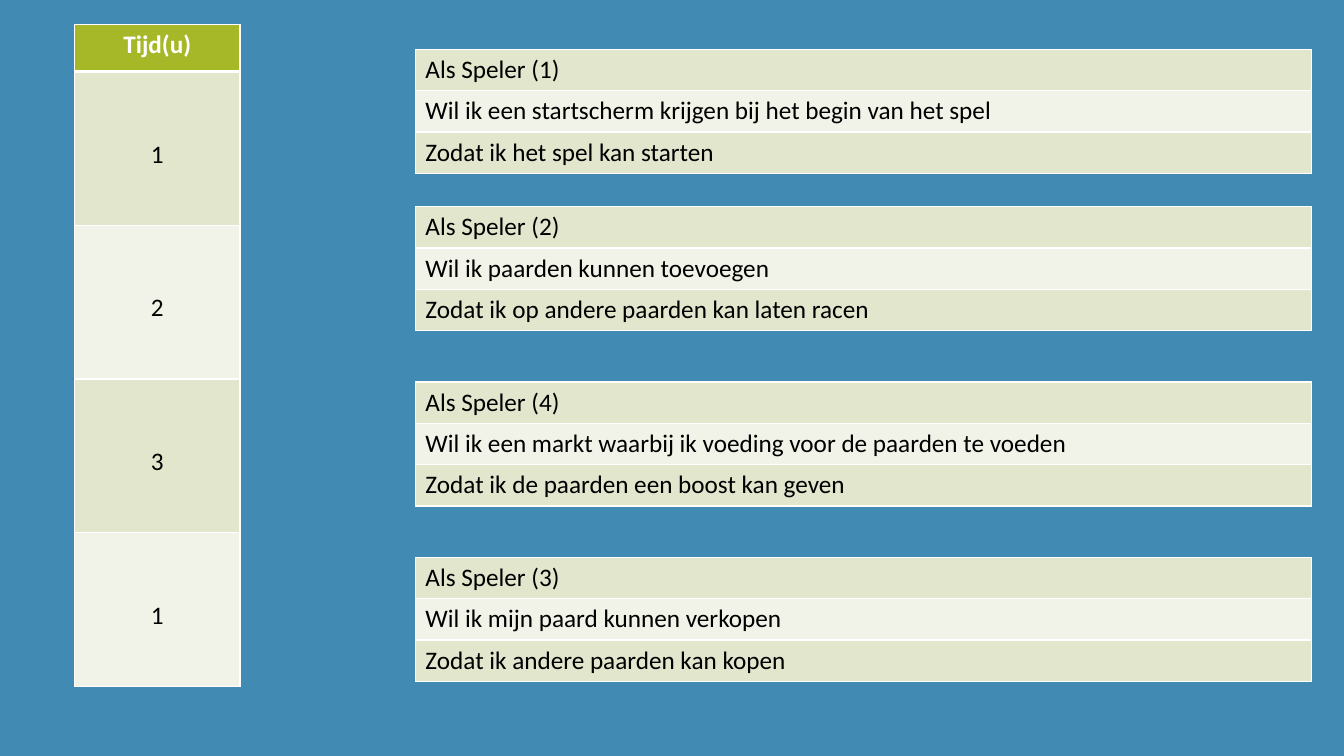
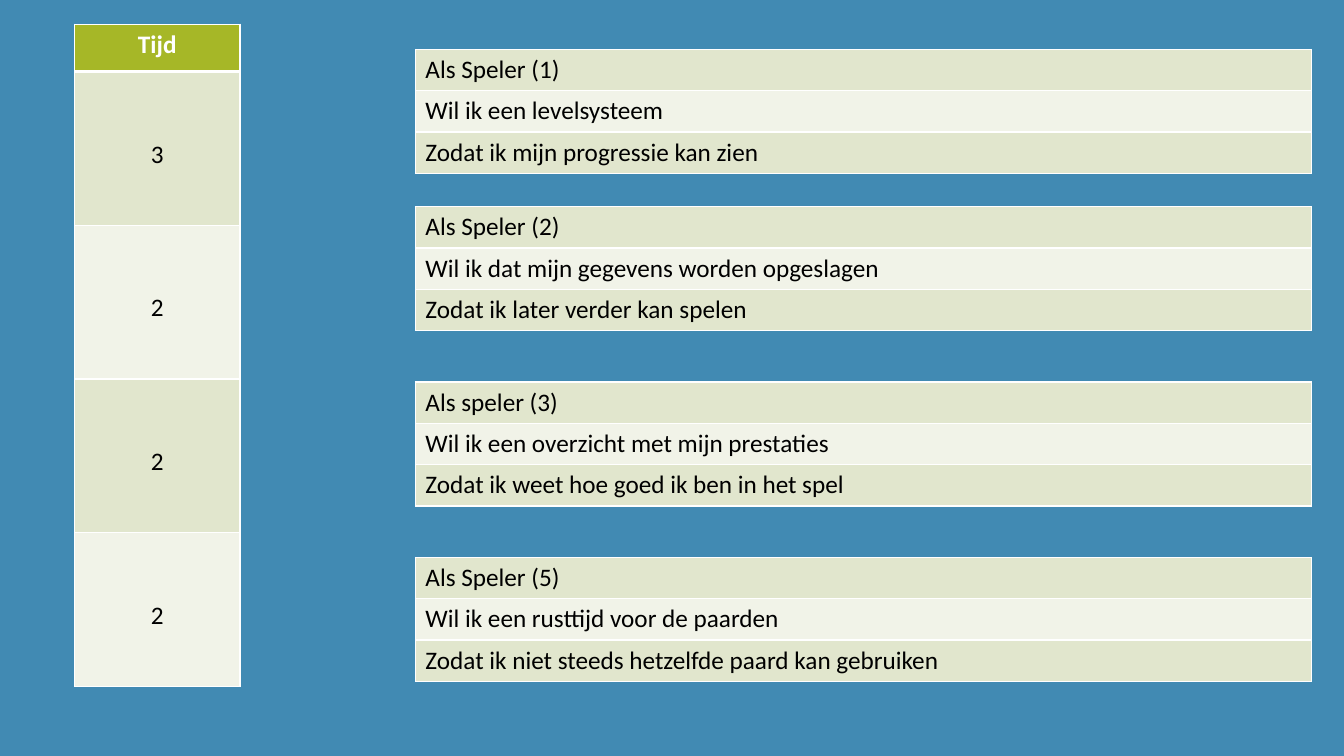
from lxml.etree import SubElement
from pptx import Presentation
from pptx.dml.color import RGBColor
from pptx.enum.text import MSO_ANCHOR, PP_ALIGN
from pptx.oxml.ns import qn
from pptx.util import Inches, Pt

SLIDES = [
    {
        "heading": "Tijd(u)",
        "hours": ["1", "2", "3", "1"],
        "stories": [
            ("Als Speler (1)", "Wil ik een startscherm krijgen bij het begin van het spel",
             "Zodat ik het spel kan starten"),
            ("Als Speler (2)", "Wil ik paarden kunnen toevoegen",
             "Zodat ik op andere paarden kan laten racen"),
            ("Als Speler (4)", "Wil ik een markt waarbij ik voeding voor de paarden te voeden",
             "Zodat ik de paarden een boost kan geven"),
            ("Als Speler (3)", "Wil ik mijn paard kunnen verkopen",
             "Zodat ik andere paarden kan kopen"),
        ],
    },
    {
        "heading": "Tijd",
        "hours": ["3", "2", "2", "2"],
        "stories": [
            ("Als Speler (1)", "Wil ik een levelsysteem",
             "Zodat ik mijn progressie kan zien"),
            ("Als Speler (2)", "Wil ik dat mijn gegevens worden opgeslagen",
             "Zodat ik later verder kan spelen"),
            ("Als speler (3)", "Wil ik een overzicht met mijn prestaties",
             "Zodat ik weet hoe goed ik ben in het spel"),
            ("Als Speler (5)", "Wil ik een rusttijd voor de paarden",
             "Zodat ik niet steeds hetzelfde paard kan gebruiken"),
        ],
    },
]

COLORS = {"background": "418AB3", "header": "A6B727", "dark band": "E1E6CD",
          "light band": "F1F3E8", "border": "FFFFFF", "header text": "FFFFFF",
          "text": "000000"}
BANDS = ("dark band", "light band")
FONT, FONT_SIZE = "Calibri", 18
THIN, THICK = 1, 3

SLIDE_WIDTH, SLIDE_HEIGHT = 13.33, 7.5
STORY_LEFT, STORY_WIDTH, STORY_ROW = 4.12, 8.89, 0.41
FIRST_STORY_TOP, SECOND_STORY_TOP, STORY_PITCH = 0.49, 2.05, 1.74
TIME_LEFT, TIME_TOP, TIME_WIDTH, TIME_HEIGHT = 0.74, 0.24, 1.64, 6.57
HEADER_ROW = 0.47
HOUR_MARGIN_TOP = 0.17


def set_borders(cell, top=THIN, bottom=THIN):
    """Draw the four white borders of a cell, widths in points."""
    properties = cell._tc.get_or_add_tcPr()
    for side, width in (("L", THIN), ("R", THIN), ("T", top), ("B", bottom)):
        line = SubElement(properties, qn(f"a:ln{side}"), w=str(Pt(width)))
        fill = SubElement(line, qn("a:solidFill"))
        SubElement(fill, qn("a:srgbClr"), val=COLORS["border"])


def style_cell(cell, text, fill, color="text", bold=False, align=PP_ALIGN.LEFT):
    """Fill a cell and set its formatted text."""
    cell.fill.solid()
    cell.fill.fore_color.rgb = RGBColor.from_string(COLORS[fill])
    paragraph = cell.text_frame.paragraphs[0]
    paragraph.text = text
    paragraph.alignment = align
    font = paragraph.runs[0].font
    font.name, font.size, font.bold = FONT, Pt(FONT_SIZE), bold
    font.color.rgb = RGBColor.from_string(COLORS[color])


def add_column(slide, left, top, width, heights):
    """Add a table of one column and return it without style banding."""
    frame = slide.shapes.add_table(len(heights), 1, Inches(left), Inches(top),
                                   Inches(width), Inches(sum(heights)))
    table = frame.table
    table.first_row = table.horz_banding = False
    for row, height in zip(table.rows, heights):
        row.height = Inches(height)
    return table


def add_story(slide, index, lines):
    """Add the table of one user story."""
    top = SECOND_STORY_TOP + (index - 1) * STORY_PITCH if index else FIRST_STORY_TOP
    table = add_column(slide, STORY_LEFT, top, STORY_WIDTH, [STORY_ROW] * len(lines))
    for row, line in enumerate(lines):
        cell = table.cell(row, 0)
        set_borders(cell)
        style_cell(cell, line, BANDS[row % 2])


def add_time_column(slide, heading, hours):
    """Add the header and the hours of each story."""
    hour_row = (TIME_HEIGHT - HEADER_ROW) / len(hours)
    table = add_column(slide, TIME_LEFT, TIME_TOP, TIME_WIDTH,
                       [HEADER_ROW] + [hour_row] * len(hours))
    table.first_row = True
    header = table.cell(0, 0)
    set_borders(header, bottom=THICK)
    style_cell(header, heading, "header", "header text", True, PP_ALIGN.CENTER)
    for index, hour in enumerate(hours):
        cell = table.cell(index + 1, 0)
        set_borders(cell, top=THIN if index else THICK)
        style_cell(cell, hour, BANDS[index % 2], align=PP_ALIGN.CENTER)
        cell.vertical_anchor = MSO_ANCHOR.MIDDLE
        cell.margin_top = Inches(HOUR_MARGIN_TOP)


def build():
    """Build and save the presentation."""
    presentation = Presentation()
    presentation.slide_width = Inches(SLIDE_WIDTH)
    presentation.slide_height = Inches(SLIDE_HEIGHT)
    background = presentation.slide_master.background.fill
    background.solid()
    background.fore_color.rgb = RGBColor.from_string(COLORS["background"])
    for content in SLIDES:
        slide = presentation.slides.add_slide(presentation.slide_layouts[6])
        for index, lines in enumerate(content["stories"]):
            add_story(slide, index, lines)
        add_time_column(slide, content["heading"], content["hours"])
    presentation.save("out.pptx")


build()
